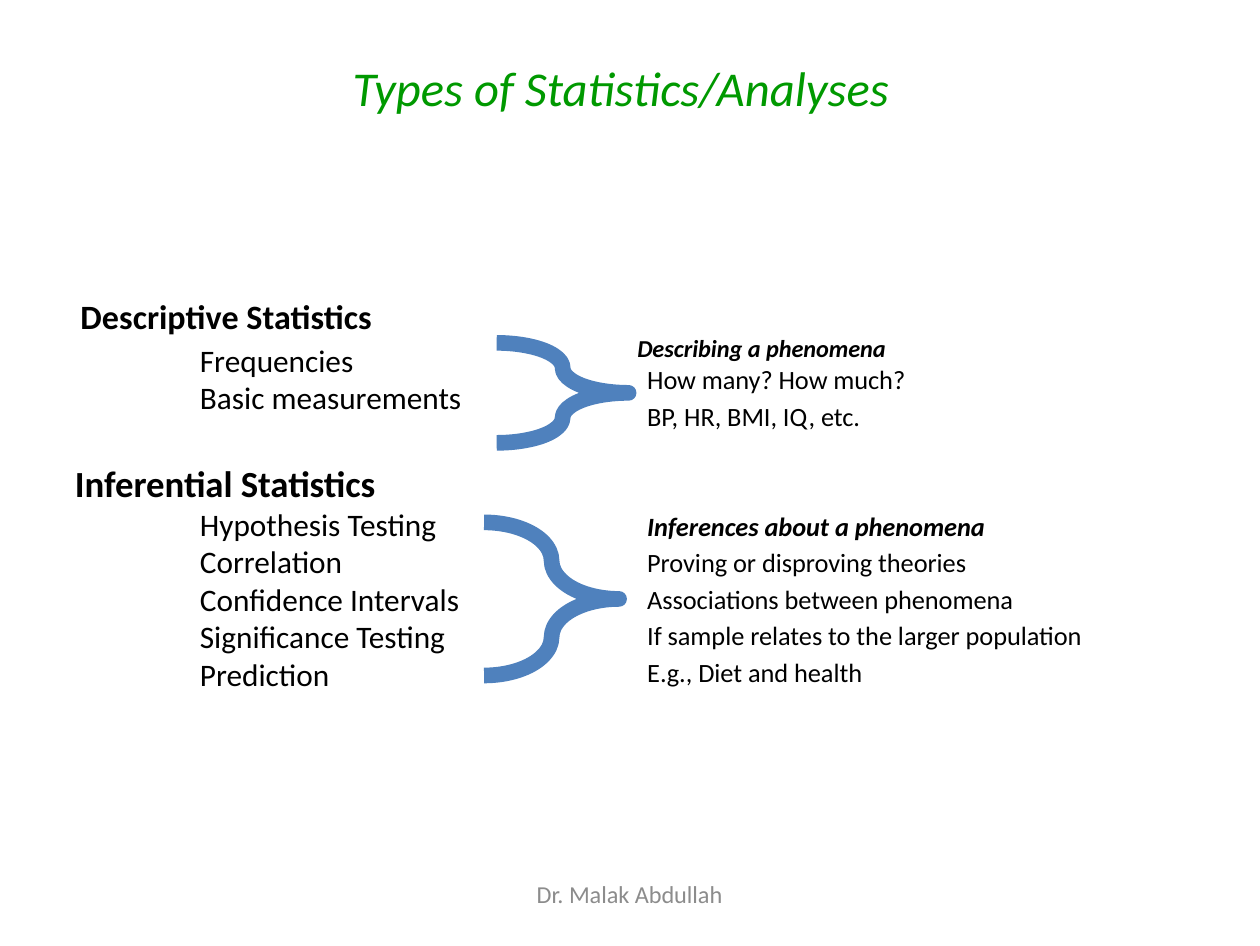
from dataclasses import dataclass, field

from lxml.etree import SubElement
from pptx import Presentation
from pptx.dml.color import RGBColor
from pptx.enum.shapes import MSO_SHAPE as Shp
from pptx.enum.text import MSO_ANCHOR as Anchor, MSO_AUTO_SIZE as Fit, PP_ALIGN as Al
from pptx.oxml.ns import qn
from pptx.util import Pt

FONT = "Calibri"
BLACK, GREEN, GREY, BLUE, WHITE = "000000", "009900", "8C8C8C", "4F81BD", "FFFFFF"


@dataclass
class Para:
    text: str
    size: float
    fmt: dict = field(default_factory=dict)
    before: float = 0
    level: int = 0
    indent: float = 0
    line: float | None = None
    color: str = BLACK
    align: Al = Al.LEFT


@dataclass
class Box:
    left: float
    top: float
    width: float
    height: float
    paras: list[Para]
    idx: int | None = None
    anchor: Anchor = Anchor.TOP
    inset: tuple[float, float] = (0, 0)


@dataclass
class Brace:
    left: float
    top: float
    width: float
    height: float


def rgb(color: str) -> RGBColor:
    return RGBColor.from_string(color)


def set_attrs(obj, values: dict) -> None:
    for name, value in values.items():
        setattr(obj, name, value)


def place(sp, b: Box | Brace) -> None:
    set_attrs(sp, {k: Pt(getattr(b, k)) for k in ("left", "top", "width", "height")})


def draw_para(p, para: Para) -> None:
    pPr = p._p.get_or_add_pPr()
    pPr.set("marL", str(Pt(para.indent)))
    pPr.set("indent", "0")
    SubElement(pPr, qn("a:buNone"))
    set_attrs(p, {"level": para.level, "alignment": para.align,
                  "space_before": Pt(para.before), "space_after": Pt(0),
                  "line_spacing": Pt(para.line) if para.line else 1.0})
    r = p.add_run()
    r.text = para.text
    set_attrs(r.font, {"name": FONT, "size": Pt(para.size), "bold": False,
                       "italic": False} | para.fmt)
    r.font.color.rgb = rgb(para.color)


def draw_box(s, b: Box) -> None:
    if b.idx is None:
        sp = s.shapes.add_textbox(0, 0, 0, 0)
    else:
        sp = next(ph for ph in s.placeholders if ph.placeholder_format.idx == b.idx)
    place(sp, b)
    tf = sp.text_frame
    x, y = map(Pt, b.inset)
    set_attrs(tf, {"word_wrap": True, "auto_size": Fit.NONE,
                   "vertical_anchor": b.anchor, "margin_left": x,
                   "margin_right": x, "margin_top": y, "margin_bottom": y})
    for i, para in enumerate(b.paras):
        draw_para(tf.add_paragraph() if i else tf.paragraphs[0], para)


def draw_brace(s, b: Brace) -> None:
    sp = s.shapes.add_shape(Shp.RIGHT_BRACE, 0, 0, 0, 0)
    place(sp, b)
    sp.shadow.inherit = False
    sp.adjustments[0], sp.adjustments[1] = 0.315, 0.5
    sp.fill.solid()
    sp.fill.fore_color.rgb = rgb(WHITE)
    sp.line.color.rgb = rgb(BLUE)
    sp.line.width = Pt(4.5)


def items(*texts: str) -> list[Para]:
    return [Para(t, 9.05, level=1, indent=36, line=10.8) for t in texts]


def notes(*texts: str) -> list[Para]:
    return [Para(t, 7.6, before=1.4) for t in texts]


BOLD = {"bold": True}
BOLD_ITALIC = {"bold": True, "italic": True}

# Title, headings and lists
TEXTS = [
    Box(101.6, 16.6, 175.7, 51, idx=0, paras=[
        Para("Types of Statistics/Analyses", 14, {"italic": True}, color=GREEN)]),
    Box(23.2, 85.7, 160.6, 11.2, idx=1, anchor=Anchor.BOTTOM, paras=[
        Para("Descriptive Statistics", 9.8, BOLD)]),
    Box(21.6, 98.2, 120.2, 130.3, idx=2, paras=[
        *items("Frequencies", "Basic measurements"),
        Para("Inferential Statistics", 10.6, BOLD, before=14.9, line=10.8),
        *items("Hypothesis Testing", "Correlation", "Confidence Intervals",
               "Significance Testing", "Prediction")]),
    Box(183.6, 85.7, 120.2, 18.7, idx=3, anchor=Anchor.BOTTOM, paras=[
        Para("Describing a phenomena", 7, BOLD_ITALIC)]),
]

# Braces linking each list to its explanation
BRACES = [Brace(143.1, 98.8, 38, 28.8), Brace(139.5, 150.5, 38.9, 44.1)]

# Explanations and footer
DETAILS = [
    Box(183.6, 103.2, 165.6, 130.3, inset=(2.9, 1.4), paras=[
        Para("How many? How much?", 7.6),
        *notes("BP, HR, BMI, IQ, etc."),
        Para("Inferences about a phenomena", 7.6, BOLD_ITALIC, before=22.65),
        *notes("Proving or disproving theories", "Associations between phenomena",
               "If sample relates to the larger population",
               "E.g., Diet and health")]),
    Box(123.4, 253.4, 115.9, 14, paras=[
        Para("Dr. Malak Abdullah", 7, color=GREY, align=Al.CENTER)]),
]


def main() -> None:
    prs = Presentation()
    set_attrs(prs, {"slide_width": Pt(363), "slide_height": Pt(272.5)})
    s = prs.slides.add_slide(prs.slide_layouts.get_by_name("Comparison"))

    for b in TEXTS:
        draw_box(s, b)
    for brace in BRACES:
        draw_brace(s, brace)
    for b in DETAILS:
        draw_box(s, b)

    # Drop the placeholders left empty
    for ph in list(s.placeholders):
        if not ph.text_frame.text:
            ph.element.getparent().remove(ph.element)
    prs.save("out.pptx")


if __name__ == "__main__":
    main()
